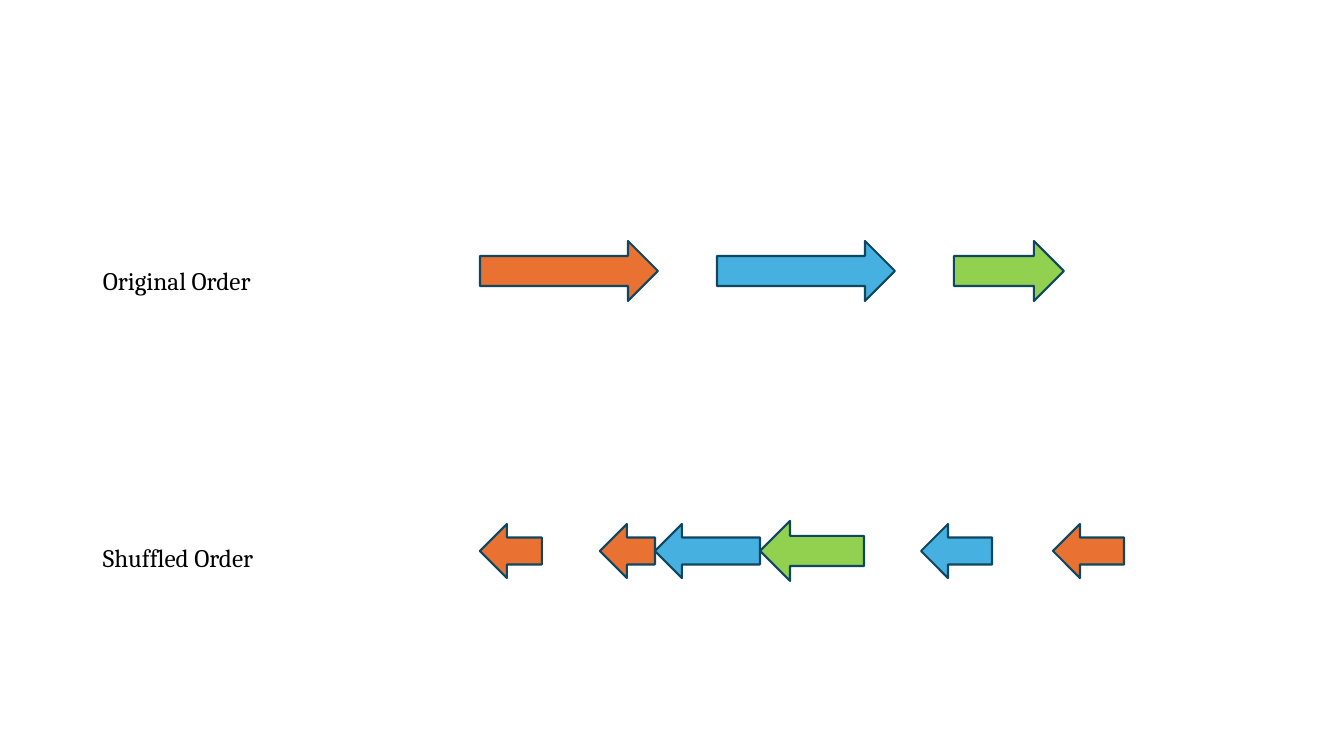
from pptx import Presentation
from pptx import util as u
from pptx.dml.color import RGBColor
from pptx.enum import shapes, text

ORANGE = RGBColor(0xE9, 0x71, 0x32)
BLUE = RGBColor(0x46, 0xB1, 0xE1)
GREEN = RGBColor(0x92, 0xD0, 0x50)
OUTLINE = RGBColor(0x10, 0x47, 0x60)
BLACK = RGBColor(0, 0, 0)

RIGHT = shapes.MSO_SHAPE.RIGHT_ARROW
LEFT = shapes.MSO_SHAPE.LEFT_ARROW

SLIDE_WIDTH, SLIDE_HEIGHT = 1344, 756
SCALE = u.Inches(1) / 100.8
TALL, SHORT = 60, 54
START = 480
ORIGINAL_STEP = 237


class OrderSlide:
    label_font = {"name": "Cambria", "size": u.Pt(18)}

    def __init__(self, presentation):
        presentation.slide_width = self.px(SLIDE_WIDTH)
        presentation.slide_height = self.px(SLIDE_HEIGHT)
        self.slide = presentation.slides.add_slide(presentation.slide_layouts[6])

    def px(self, length):
        return u.Emu(round(length * SCALE))

    def box(self, *lengths):
        return [self.px(length) for length in lengths]

    def label(self, wording, top):
        caption = self.slide.shapes.add_textbox(*self.box(93, top, 205, 40))
        frame = caption.text_frame
        frame.word_wrap = True
        frame.auto_size = text.MSO_AUTO_SIZE.SHAPE_TO_FIT_TEXT
        frame.text = wording
        font = frame.paragraphs[0].runs[0].font
        for name, value in self.label_font.items():
            setattr(font, name, value)
        font.color.rgb = BLACK

    def segment(self, direction, left, middle, width, height, color):
        arrow = self.slide.shapes.add_shape(
            direction, *self.box(left, middle - height // 2, width, height))
        arrow.shadow.inherit = False
        arrow.fill.solid()
        arrow.fill.fore_color.rgb = color
        arrow.line.color.rgb = OUTLINE
        arrow.line.width = u.Pt(1.5)


def main():
    presentation = Presentation()
    order = OrderSlide(presentation)

    order.label("Original Order", 260)
    original = [(178, ORANGE), (178, BLUE), (110, GREEN)]
    for index, (width, color) in enumerate(original):
        order.segment(RIGHT, START + index * ORIGINAL_STEP, 271, width, TALL, color)

    order.label("Shuffled Order", 537)
    shuffled = [
        (START, 62, SHORT, ORANGE),
        (600, 55, SHORT, ORANGE),
        (655, 105, SHORT, BLUE),
        (760, 104, TALL, GREEN),
        (921, 71, SHORT, BLUE),
        (1053, 71, SHORT, ORANGE),
    ]
    for left, width, height, color in shuffled:
        order.segment(LEFT, left, 551, width, height, color)

    presentation.save("out.pptx")


if __name__ == "__main__":
    main()
